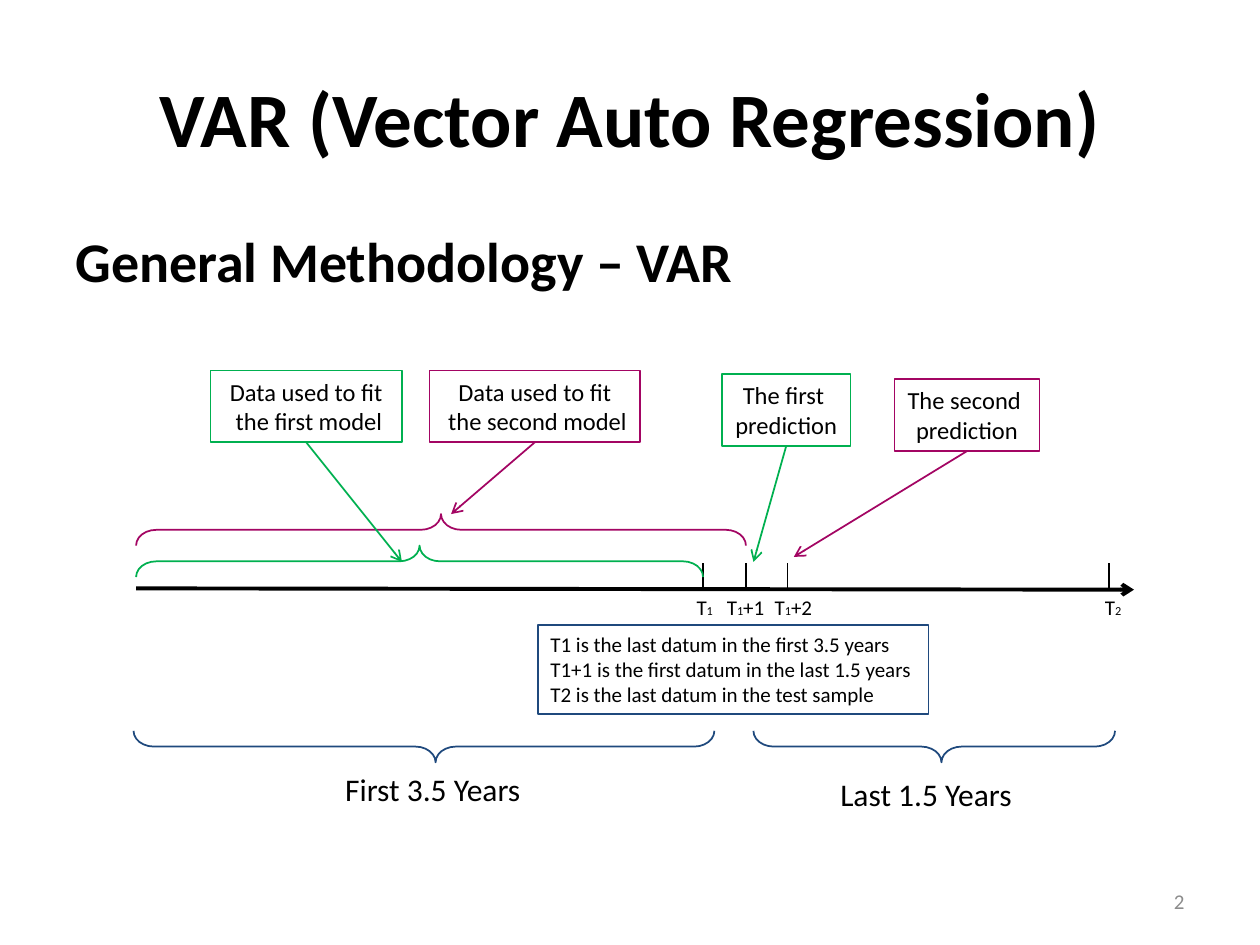
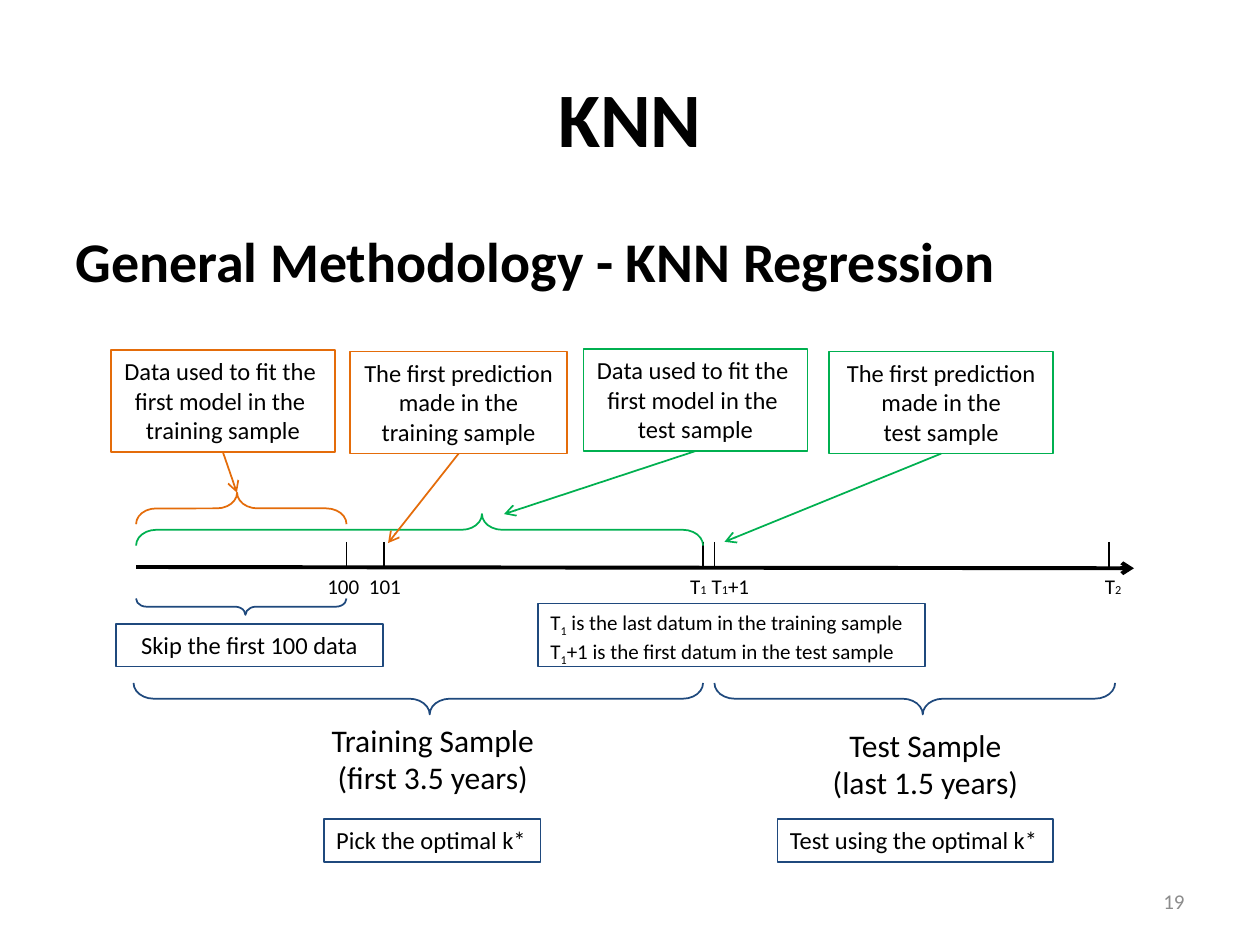
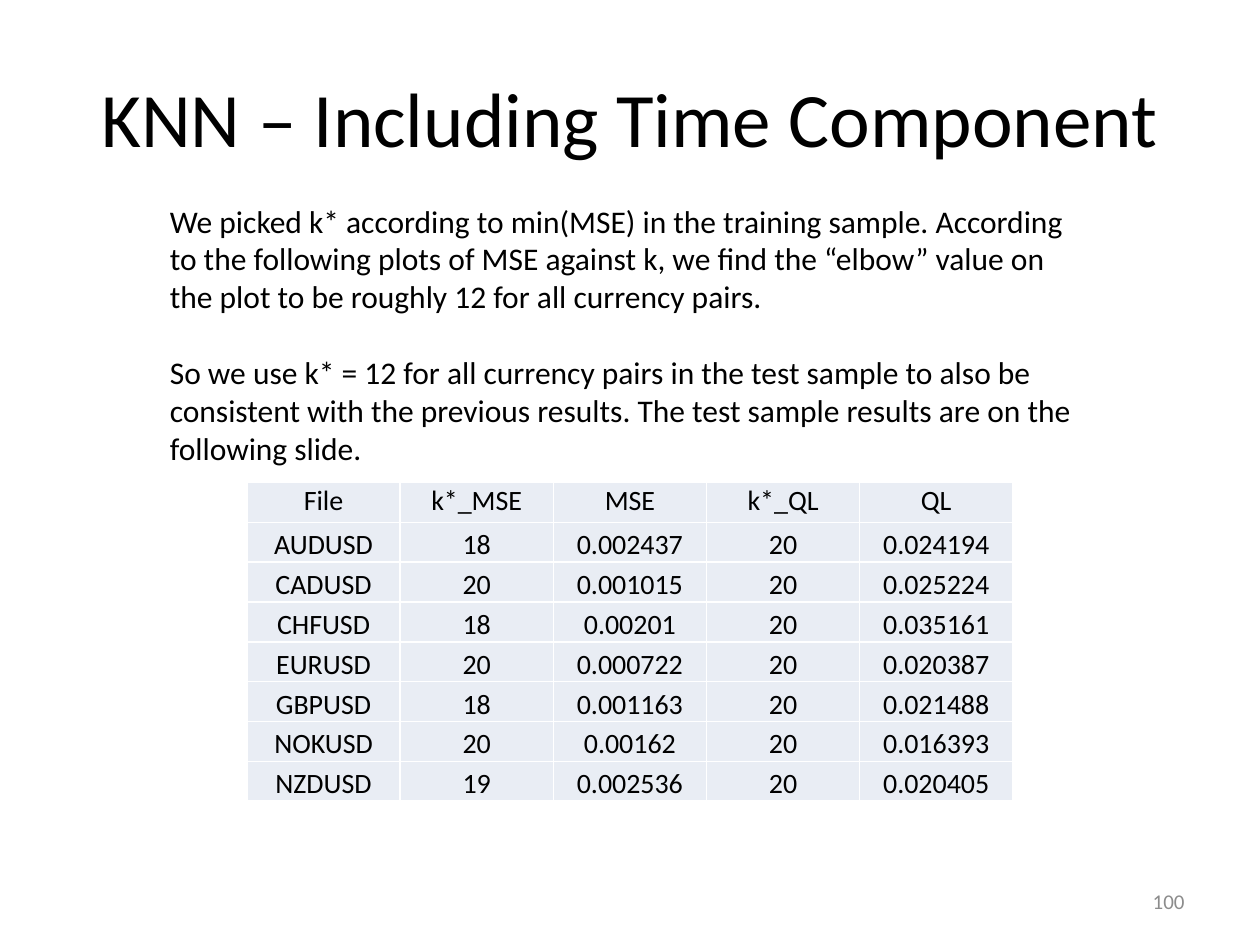
"""Build three slides on VAR and KNN forecasting methodology."""
from lxml import etree
from pptx import Presentation
from pptx.dml.color import RGBColor
from pptx.enum.shapes import MSO_CONNECTOR, MSO_SHAPE
from pptx.enum.text import MSO_ANCHOR, MSO_AUTO_SIZE, PP_ALIGN
from pptx.oxml.ns import qn
from pptx.util import Inches, Pt

STRAIGHT = MSO_CONNECTOR.STRAIGHT
RECTANGLE, BRACE = MSO_SHAPE.RECTANGLE, MSO_SHAPE.LEFT_BRACE
TOP, MIDDLE, BOTTOM = MSO_ANCHOR.TOP, MSO_ANCHOR.MIDDLE, MSO_ANCHOR.BOTTOM
LEFT, CENTER, RIGHT = PP_ALIGN.LEFT, PP_ALIGN.CENTER, PP_ALIGN.RIGHT
GROW = MSO_AUTO_SIZE.SHAPE_TO_FIT_TEXT
FONT = "Calibri"
COLORS = {"black": "000000", "blue": "1F497D", "green": "00B050", "plum": "A30563",
          "orange": "E46C0A", "gray": "8C8C8C", "cell": "E9EDF4", "white": "FFFFFF"}
AXIS_START, AXIS_END = 1.08, 9
TICK_HEIGHT = 0.2


def rgb(name):
    return RGBColor.from_string(COLORS[name])


class Deck:
    def __init__(self):
        self.deck = Presentation()
        self.deck.slide_width, self.deck.slide_height = Inches(10), Inches(7.5)
        self.page = None

    def new_page(self, title, number, bold=True):
        self.page = self.deck.slides.add_slide(self.deck.slide_layouts[6])
        self.text([title], (0.5, 0.3, 9, 1.25), 44, CENTER, MIDDLE, bold=bold, wrap=True)
        self.text([number], (7.17, 6.95, 2.33, 0.4), 12, RIGHT, MIDDLE, "gray", wrap=True)

    def heading(self, line):
        self.text([line], (0.5, 1.75, 9, 4.95), 32, bold=True, wrap=True)

    def text(self, lines, at, size, align=LEFT, anchor=TOP, color="black",
             bold=False, wrap=False, gap=0):
        box = self.page.shapes.add_textbox(*map(Inches, at))
        self.fill_text(box, lines, size, align, anchor, color, bold, wrap)
        for para in box.text_frame.paragraphs[1:]:
            para.space_before = Pt(gap)

    def fill_text(self, box, lines, size, align=LEFT, anchor=TOP, color="black",
                  bold=False, wrap=False, subscript=False):
        """Fill a box with lines, where ~ marks enclose lowered digits."""
        frame = box.text_frame
        frame.text = "\n".join(lines)
        frame.word_wrap, frame.vertical_anchor = wrap, anchor
        if not wrap:
            frame.auto_size = GROW
        for para, line in zip(frame.paragraphs, lines):
            para.alignment = align
            pieces = line.split("~")
            para.runs[0].text = pieces[0]
            for piece in filter(None, pieces[1:]):
                para.add_run().text = piece
            for index, span in enumerate(para.runs):
                font = span.font
                font.name, font.size, font.bold = FONT, Pt(size), bold
                font.color.rgb = rgb(color)
                if index % 2 and subscript:
                    font._element.set("baseline", "-25000")
                elif index % 2:
                    font.size = Pt(7)

    def outline(self, kind, at, color):
        shape = self.page.shapes.add_shape(kind, *map(Inches, at))
        shape.shadow.inherit = False
        shape.fill.background()
        shape.line.color.rgb, shape.line.width = rgb(color), Pt(1)
        return shape

    def framed(self, lines, at, color="blue", size=14, align=CENTER, subscript=False):
        box = self.outline(RECTANGLE, at, color)
        self.fill_text(box, lines, size, align, subscript=subscript)

    def line(self, start, end, color="black", width=1, arrow=False):
        link = self.page.shapes.add_connector(STRAIGHT, *map(Inches, start + end))
        link.line.color.rgb, link.line.width = rgb(color), Pt(width)
        if arrow:
            etree.SubElement(link.line._get_or_add_ln(), qn("a:tailEnd"), type="arrow")
        etree.SubElement(link._element.spPr, qn("a:effectLst"))

    def callout(self, lines, at, color, target):
        left, top, width, height = at
        self.framed(lines, at, color)
        self.line((left + width / 2, top + height), target, color, arrow=True)

    def brace(self, left, right, top, color="blue", up=False, tip=0.52, depth=0.25):
        """Draw a horizontal brace by turning a left brace about its centre."""
        span = right - left
        at = ((left + right - depth) / 2, top + (depth - span) / 2, depth, span)
        shape = self.outline(BRACE, at, color)
        shape.rotation = 90 if up else 270
        shape.adjustments[0], shape.adjustments[1] = 0.64, tip

    def timeline(self, level, marks):
        """Draw the axis with marks given as tick, label, label left and label width."""
        self.line((AXIS_START, level), (AXIS_END, level + 0.01), width=2.25, arrow=True)
        for tick, label, left, width in marks:
            self.line((tick, level - TICK_HEIGHT), (tick, level))
            self.text([label], (left, level, width, 0.3), 12)

    def table(self, rows, at):
        frame = self.page.shapes.add_table(len(rows), len(rows[0]), *map(Inches, at))
        table = frame.table
        table.first_row = table.horz_banding = False
        for row_index, row in enumerate(rows):
            for column_index, value in enumerate(row):
                cell = table.cell(row_index, column_index)
                self.cell(cell, value, BOTTOM if row_index else TOP)

    def cell(self, cell, value, anchor):
        properties = cell._tc.get_or_add_tcPr()
        for side in ("lnL", "lnR", "lnT", "lnB"):
            border = etree.SubElement(properties, qn(f"a:{side}"), w=str(Pt(1)))
            fill = etree.SubElement(border, qn("a:solidFill"))
            etree.SubElement(fill, qn("a:srgbClr"), val=COLORS["white"])
        cell.fill.solid()
        cell.fill.fore_color.rgb = rgb("cell")
        cell.margin_left = cell.margin_right = cell.margin_top = Inches(0.01)
        cell.margin_bottom = 0
        cell.vertical_anchor = anchor
        cell.text_frame.text = value
        para = cell.text_frame.paragraphs[0]
        para.alignment = CENTER
        font = para.runs[0].font
        font.name, font.size, font.color.rgb = FONT, Pt(16), rgb("black")


def var_page(deck):
    deck.new_page("VAR (Vector Auto Regression)", "2")
    deck.heading("General Methodology – VAR")
    deck.timeline(4.67, [(5.58, "T~1~", 5.43, 0.37), (5.92, "T~1~+1", 5.67, 0.5),
                         (6.25, "T~1~+2", 6.05, 0.5), (8.8, "T~2~", 8.67, 0.33)])
    deck.brace(1.06, 5.67, 5.8)
    deck.brace(5.98, 8.85, 5.8)
    deck.brace(AXIS_START, 5.58, 4.33, "green", up=True, tip=0.5)
    deck.brace(AXIS_START, 5.92, 4.08, "plum", up=True, tip=0.5)
    deck.callout(["Data used to fit", " the first model"],
                 (1.67, 2.94, 1.52, 0.57), "green", (3.19, 4.46))
    deck.callout(["Data used to fit", " the second model"],
                 (3.41, 2.94, 1.67, 0.57), "plum", (3.58, 4.08))
    deck.callout(["The first ", "prediction"],
                 (5.73, 2.97, 1.02, 0.57), "green", (5.98, 4.46))
    deck.callout(["The second ", "prediction"],
                 (7.1, 3.01, 1.15, 0.57), "plum", (6.3, 4.42))
    deck.framed(["T1 is the last datum in the first 3.5 years",
                 "T1+1 is the first datum in the last 1.5 years",
                 "T2 is the last datum in the test sample"],
                (4.27, 4.96, 3.1, 0.71), size=12, align=LEFT)
    deck.text(["First 3.5 Years"], (2.63, 6.06, 1.61, 0.4), 18, CENTER)
    deck.text(["Last 1.5 Years"], (6.56, 6.1, 1.58, 0.4), 18, CENTER)


def knn_page(deck):
    deck.new_page("KNN", "19")
    deck.heading("General Methodology - KNN Regression")
    deck.timeline(4.5, [(2.75, "100", 2.5, 0.5), (3.05, "101", 2.83, 0.5),
                        (5.58, "T~1~", 5.38, 0.37), (5.67, "T~1~+1", 5.55, 0.5),
                        (8.8, "T~2~", 8.67, 0.33)])
    deck.brace(1.06, 5.58, 5.42)
    deck.brace(5.67, 8.85, 5.42)
    deck.brace(AXIS_START, 2.75, 4.75, depth=0.13)
    deck.brace(AXIS_START, 2.75, 3.91, "orange", up=True)
    deck.brace(AXIS_START, 5.58, 4.08, "green", up=True, tip=0.39)
    fitted = ["Data used to fit the ", "first model in the "]
    predicted = ["The first prediction", " made in the "]
    training, test = ["training sample"], ["test sample"]
    deck.callout(fitted + training, (0.88, 2.78, 1.78, 0.81), "orange", (1.88, 3.91))
    deck.callout(predicted + training, (2.78, 2.79, 1.72, 0.81), "orange", (3.08, 4.31))
    deck.callout(fitted + test, (4.63, 2.77, 1.78, 0.81), "green", (4, 4.08))
    deck.callout(predicted + test, (6.58, 2.79, 1.78, 0.81), "green", (5.75, 4.3))
    deck.framed(["Skip the first 100 data"], (0.92, 4.95, 2.12, 0.34))
    deck.framed(["T~1~ is the last datum in the training sample",
                 "T~1~+1 is the first datum in the test sample"],
                (4.27, 4.79, 3.07, 0.5), size=12, align=LEFT, subscript=True)
    deck.text(["Training Sample", "(first 3.5 years)"], (2.52, 5.67, 1.83, 0.71), 18, CENTER)
    deck.text(["Test Sample", "(last 1.5 years)"], (6.5, 5.71, 1.69, 0.71), 18, CENTER)
    deck.framed(["Pick the optimal k*"], (2.57, 6.5, 1.72, 0.34), align=LEFT)
    deck.framed(["Test using the optimal k*"], (6.17, 6.5, 2.19, 0.34), align=LEFT)


def results_page(deck):
    deck.new_page("KNN – Including Time Component", "100", bold=False)
    deck.text(["We picked k* according to min(MSE) in the training sample. According to the "
               "following plots of MSE against k, we find the “elbow” value on the plot to be "
               "roughly 12 for all currency pairs.",
               "So we use k* = 12 for all currency pairs in the test sample to also be "
               "consistent with the previous results. The test sample results are on the "
               "following slide."],
              (1.25, 1.55, 7.5, 2.22), 18, wrap=True, gap=22)
    deck.table([("File", "k*_MSE", "MSE", "k*_QL", "QL"),
                ("AUDUSD", "18", "0.002437", "20", "0.024194"),
                ("CADUSD", "20", "0.001015", "20", "0.025224"),
                ("CHFUSD", "18", "0.00201", "20", "0.035161"),
                ("EURUSD", "20", "0.000722", "20", "0.020387"),
                ("GBPUSD", "18", "0.001163", "20", "0.021488"),
                ("NOKUSD", "20", "0.00162", "20", "0.016393"),
                ("NZDUSD", "19", "0.002536", "20", "0.020405")],
               (1.96, 3.83, 6.08, 2.53))


def main():
    deck = Deck()
    var_page(deck)
    knn_page(deck)
    results_page(deck)
    deck.deck.save("out.pptx")


if __name__ == "__main__":
    main()
